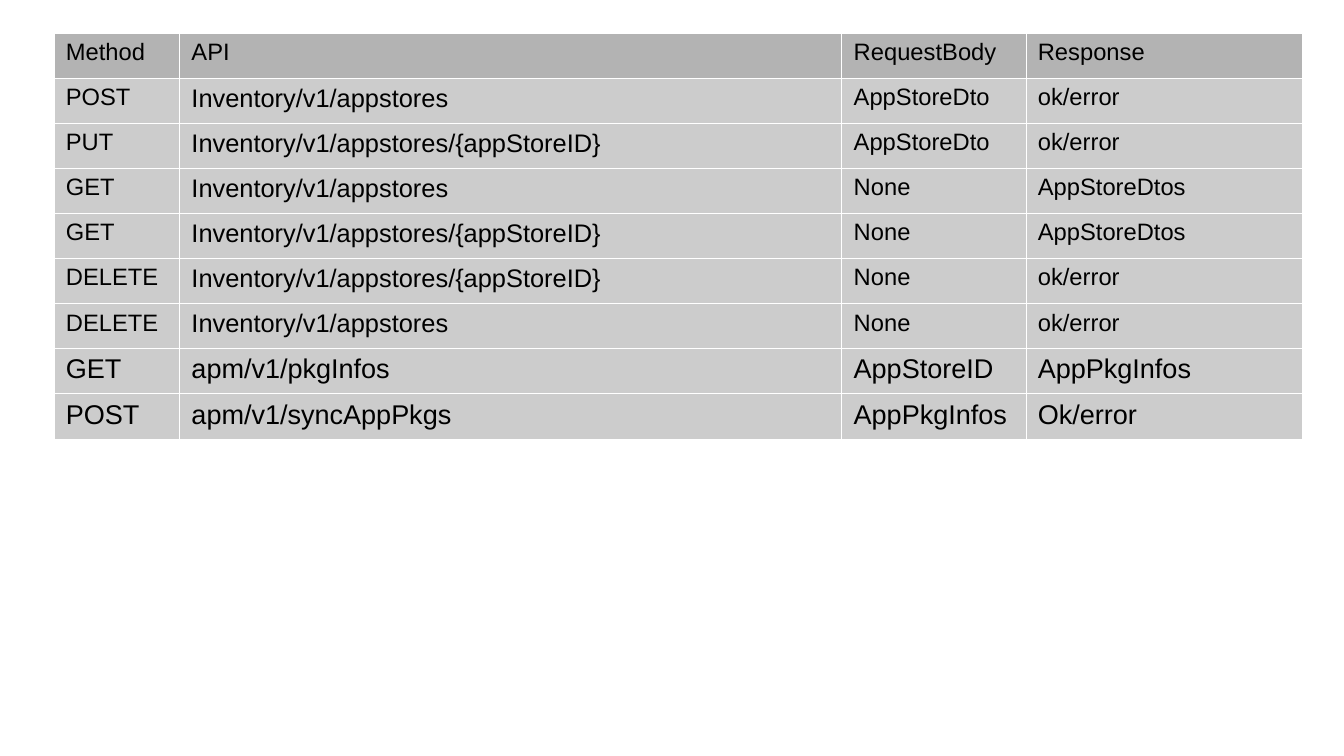
from lxml import etree
from pptx import Presentation
from pptx import util as u
from pptx.dml.color import RGBColor
from pptx.oxml import ns

BLACK = RGBColor(0x00, 0x00, 0x00)
HEADER_GRAY = RGBColor(0xB3, 0xB3, 0xB3)
BODY_GRAY = RGBColor(0xCC, 0xCC, 0xCC)
BORDER_WHITE = RGBColor(0xFF, 0xFF, 0xFF)

FONT = "Arial"
BORDER_WIDTH = u.Pt(0.06)
ROW_HEIGHT = u.Inches(0.37)
COLUMN_WIDTHS = [u.Inches(width) for width in (1.03, 5.43, 1.51, 2.27)]

HEADER = ("Method", "API", "RequestBody", "Response")
STORE_CALLS = [
    ("POST", "Inventory/v1/appstores", "AppStoreDto", "ok/error"),
    ("PUT", "Inventory/v1/appstores/{appStoreID}", "AppStoreDto", "ok/error"),
    ("GET", "Inventory/v1/appstores", "None", "AppStoreDtos"),
    ("GET", "Inventory/v1/appstores/{appStoreID}", "None", "AppStoreDtos"),
    ("DELETE", "Inventory/v1/appstores/{appStoreID}", "None", "ok/error"),
    ("DELETE", "Inventory/v1/appstores", "None", "ok/error"),
]
PACKAGE_CALLS = [
    ("GET", "apm/v1/pkgInfos", "AppStoreID", "AppPkgInfos"),
    ("POST", "apm/v1/syncAppPkgs", "AppPkgInfos", "Ok/error"),
]


def set_borders(cell):
    properties = cell._tc.get_or_add_tcPr()
    for side in ("a:lnL", "a:lnR", "a:lnT", "a:lnB"):
        line = etree.SubElement(properties, ns.qn(side), w=str(BORDER_WIDTH))
        fill = etree.SubElement(line, ns.qn("a:solidFill"))
        etree.SubElement(fill, ns.qn("a:srgbClr"), val=str(BORDER_WHITE))


def fill_cell(cell, wording, size, color):
    # Borders come before the fill in the cell properties
    set_borders(cell)
    cell.fill.solid()
    cell.fill.fore_color.rgb = color
    run = cell.text_frame.paragraphs[0].add_run()
    run.text = wording
    run.font.name = FONT
    run.font.size = u.Pt(size)
    run.font.bold = False
    run.font.color.rgb = BLACK


def add_api_table(slide):
    # Each row: wording, text size per column, fill
    rows = [(HEADER, (14, 14, 14, 14), HEADER_GRAY)]
    rows += [(call, (14, 15, 14, 14), BODY_GRAY) for call in STORE_CALLS]
    rows += [(call, (16, 16, 16, 16), BODY_GRAY) for call in PACKAGE_CALLS]

    table = slide.shapes.add_table(
        len(rows), len(COLUMN_WIDTHS), u.Inches(0.44), u.Inches(0.27),
        sum(COLUMN_WIDTHS), ROW_HEIGHT * len(rows)).table
    table.horz_banding = False
    for column, width in zip(table.columns, COLUMN_WIDTHS):
        column.width = width
    for row, (wordings, sizes, color) in zip(table.rows, rows):
        row.height = ROW_HEIGHT
        for cell, wording, size in zip(row.cells, wordings, sizes):
            fill_cell(cell, wording, size, color)


def main():
    presentation = Presentation()
    presentation.slide_width = u.Inches(11.02)
    presentation.slide_height = u.Inches(6.2)
    slide = presentation.slides.add_slide(presentation.slide_layouts[6])
    add_api_table(slide)
    presentation.save("out.pptx")


if __name__ == "__main__":
    main()
